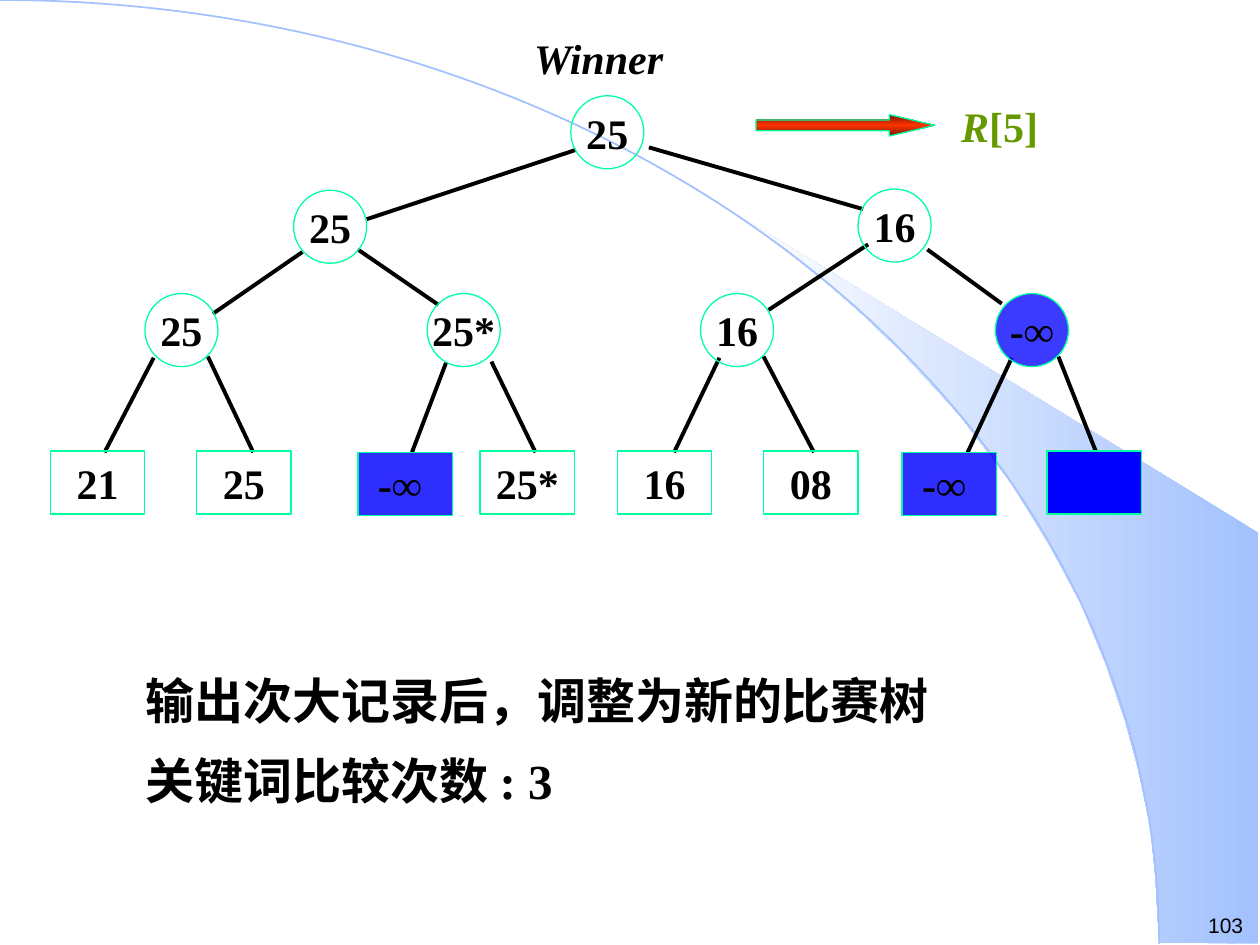
from lxml.etree import SubElement
from pptx import Presentation
from pptx.dml.color import RGBColor
from pptx.enum.shapes import MSO_CONNECTOR, MSO_SHAPE
from pptx.enum.text import MSO_ANCHOR, PP_ALIGN
from pptx.oxml.ns import qn
from pptx.util import Inches, Pt

BLACK, BLUE, MINT, SKY = "000000", "0000FF", "00FF9F", "A2C1FE"


def color(value):
    return RGBColor.from_string(value)


def write(para, text, size=24, font="Times New Roman", fill=BLACK, bold=True, italic=False):
    span = para.add_run()
    span.text = text
    span.font.size = Pt(size)
    span.font.name = font
    span.font.color.rgb = color(fill)
    span.font.bold = bold
    span.font.italic = italic


def add_text_box(page, left, top, width, height, wrap=False):
    box = page.shapes.add_textbox(Inches(left), Inches(top), Inches(width), Inches(height))
    box.text_frame.word_wrap = wrap
    return box.text_frame


def paint(shape, fill=None, line=MINT, width=0.75, opacity=100):
    shape.shadow.inherit = False
    if fill:
        shape.fill.solid()
        shape.fill.fore_color.rgb = color(fill)
        if opacity < 100:
            tint = shape.fill._xPr.find(".//" + qn("a:srgbClr"))
            SubElement(tint, qn("a:alpha"), val=str(opacity * 1000))
    else:
        shape.fill.background()
    if line:
        shape.line.color.rgb = color(line)
        shape.line.width = Pt(width)
    else:
        shape.line.fill.background()


def paint_gradient(shape, stops, angle):
    shape.fill.gradient()
    shape.fill.gradient_angle = angle
    stop_list = shape.fill._xPr.find(".//" + qn("a:gsLst"))
    for stop in list(stop_list):
        stop_list.remove(stop)
    for position, value in stops:
        stop = SubElement(stop_list, qn("a:gs"), pos=str(position * 1000))
        SubElement(stop, qn("a:srgbClr"), val=value)


def add_backdrop(page, left, top):
    outline = [
        (3.31, 5.75), (4.1, 5.76), (4.1, 2.5), (0, 0), (0.35, 0.26), (0.64, 0.49),
        (0.96, 0.77), (1.27, 1.07), (1.73, 1.57), (2.14, 2.11), (2.43, 2.58),
        (2.69, 3.06), (2.89, 3.55), (3.04, 3.99), (3.14, 4.36), (3.24, 4.83), (3.28, 5.23),
    ]
    points = [(Inches(left + x), Inches(top + y)) for x, y in outline]
    builder = page.shapes.build_freeform(*points[0])
    builder.add_line_segments(points[1:], close=True)
    beam = builder.convert_to_shape()
    paint(beam, line=None)
    paint_gradient(beam, [(0, SKY), (100, "FEFEFE")], 180)

    radius_x, radius_y = 9.2, 7.49
    arc = page.shapes.add_shape(
        MSO_SHAPE.ARC, Inches(-radius_x), 0, Inches(2 * radius_x), Inches(2 * radius_y))
    paint(arc, line=SKY, width=1)


def add_edge(page, x1, y1, x2, y2):
    edge = page.shapes.add_connector(
        MSO_CONNECTOR.STRAIGHT, Inches(x1), Inches(y1), Inches(x2), Inches(y2))
    edge.line.color.rgb = color(BLACK)
    edge.line.width = Pt(2.25)
    SubElement(edge._element.spPr, qn("a:effectLst"))


def add_node(page, kind, left, top, width, height, text, fill=None, opacity=100):
    node = page.shapes.add_shape(kind, Inches(left), Inches(top), Inches(width), Inches(height))
    paint(node, fill, opacity=opacity)
    if text:
        frame = node.text_frame
        frame.word_wrap = False
        frame.vertical_anchor = MSO_ANCHOR.MIDDLE
        frame.paragraphs[0].alignment = PP_ALIGN.CENTER
        write(frame.paragraphs[0], text)


def add_tree(page, left, top):
    branches = [
        (4.75, 0.41, 6.45, 0.9), (4.17, 0.43, 2.51, 0.98),
        (6.49, 1.18, 5.7, 1.7), (6.96, 1.22, 7.55, 1.65),
        (2.44, 1.22, 3.08, 1.66), (2, 1.24, 1.29, 1.73),
    ]
    twigs = [
        (0.82, 2.08, 0.43), (1.25, 2.07, 1.61), (3.14, 2.12, 2.87), (3.5, 2.11, 3.85),
        (5.31, 2.08, 4.95), (5.66, 2.07, 6.06), (7.63, 2.08, 7.28), (8, 2.07, 8.3),
    ]
    leaf_top = 2.82
    for x1, y1, x2, y2 in branches + [(*twig, leaf_top + 0.01) for twig in twigs]:
        add_edge(page, left + x1, top + y1, left + x2, top + y2)

    circles = [
        (4.13, 0, "25"), (1.93, 0.75, "25"), (6.41, 0.74, "16"),
        (0.75, 1.57, "25"), (2.99, 1.57, "25*"), (5.16, 1.57, "16"), (7.5, 1.57, "-∞"),
    ]
    for x, y, text in circles:
        fill = BLUE if text == "-∞" else None
        add_node(page, MSO_SHAPE.OVAL, left + x, top + y, 0.58, 0.58, text, fill, 77)

    leaves = [
        (0, "21"), (1.16, "25"), (2.44, "-∞ "), (3.41, "25*"),
        (4.5, "16"), (5.66, "08"), (6.76, "-∞ "), (7.91, ""),
    ]
    for x, text in leaves:
        removed = text == "-∞ "
        fill = BLUE if removed or not text else None
        y = leaf_top + 0.01 if removed else leaf_top
        add_node(page, MSO_SHAPE.RECTANGLE, left + x, top + y, 0.75, 0.5, text, fill,
                 82 if removed else 100)

    title = add_text_box(page, left + 3.74, top - 0.55, 1.32, 0.5)
    write(title.paragraphs[0], "Winner", italic=True)


def add_output(page, left, top):
    arrow = page.shapes.add_shape(
        MSO_SHAPE.RIGHT_ARROW, Inches(left), Inches(top + 0.16), Inches(1.42), Inches(0.17))
    arrow.adjustments[0] = 0.5
    arrow.adjustments[1] = 2.13
    paint(arrow)
    paint_gradient(arrow, [(0, "751700"), (50, "FF3300"), (100, "751700")], 90)
    para = add_text_box(page, left + 1.53, top, 0.81, 0.5).paragraphs[0]
    write(para, "R", fill="669900", italic=True)
    write(para, "[5]", fill="669900")


def add_summary(page, left, top, width, height):
    frame = add_text_box(page, left, top, width, height, wrap=True)
    for index, text in enumerate(["输出次大记录后，调整为新的比赛树", "关键词比较次数 : 3"]):
        para = frame.add_paragraph() if index else frame.paragraphs[0]
        para.alignment = PP_ALIGN.JUSTIFY
        para.line_spacing = 1.35
        write(para, text, size=28)


def add_page_number(page, left, top):
    frame = add_text_box(page, left, top, 0.51, 0.3)
    write(frame.paragraphs[0], "103", size=12, font="Arial", bold=False)


def main():
    deck = Presentation()
    deck.slide_width, deck.slide_height = Inches(10), Inches(7.5)
    page = deck.slides.add_slide(deck.slide_layouts[6])
    add_backdrop(page, 5.89, 1.73)
    add_page_number(page, 9.49, 7.19)
    add_summary(page, 1.06, 5.11, 7.05, 1.6)
    add_tree(page, 0.4, 0.76)
    add_output(page, 6, 0.75)
    deck.save("out.pptx")


if __name__ == "__main__":
    main()
